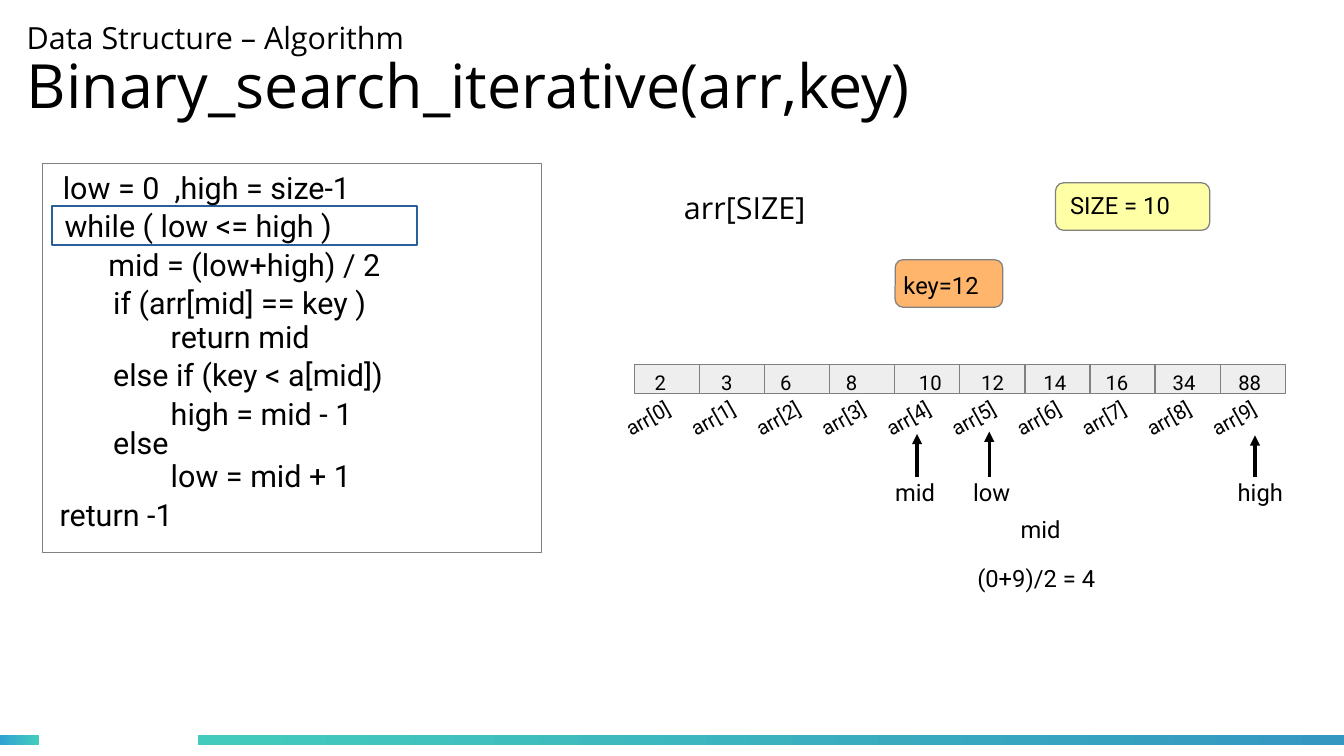
from lxml import etree
from pptx import Presentation
from pptx.dml.color import RGBColor
from pptx.enum import shapes, text
from pptx.oxml import ns
from pptx.util import Pt

COLORS = {
    "ink": "000000", "white": "FFFFFF", "border": "808080", "highlight": "2A6099",
    "size": "FFFFA6", "key": "FFB66C", "cell": "EEEEEE",
    "teal": "43CCBD", "sky": "30A2D2", "ocean": "3497C1",
}
SLIDE_SIZE = (793.44, 446.4)
TITLE_FRAME = {
    "margin_left": 0, "margin_top": 0, "margin_right": 0, "margin_bottom": 0,
    "word_wrap": True, "auto_size": text.MSO_AUTO_SIZE.NONE,
    "vertical_anchor": text.MSO_ANCHOR.MIDDLE,
}
LABEL_FRAME = {
    "margin_left": Pt(7.2), "margin_top": Pt(3.6), "margin_right": 0,
    "margin_bottom": Pt(3.6), "word_wrap": True,
    "vertical_anchor": text.MSO_ANCHOR.TOP,
}
CODE = [
    (4.8, 0, "low = 0  ,high = size-1"),
    (5.8, 22.5, "while ( low <= high )"),
    (31.7, 45.5, "mid = (low+high) / 2"),
    (34.5, 67.8, "if (arr[mid] == key )"),
    (68.5, 88, "return mid"),
    (34.5, 110.3, "else if (key < a[mid])"),
    (68.5, 133.3, "high = mid - 1"),
    (34.5, 150.6, "else"),
    (68.5, 170, "low = mid + 1"),
    (2.9, 193, "return -1"),
]
CELLS = [(2, 5), (3, 5.8), (6, 2.2), (8, 2.6), (10, 7.2),
         (12, 5.5), (14, 3.8), (16, 2), (34, 3.2), (88, 3.5)]
POINTERS = [("mid", 146.9, 167, 41), ("low", 193, 209.6, 39.6),
            ("high", 349.2, 366.5, 41.8)]


def color(name):
    """Return the named colour."""
    return RGBColor.from_string(COLORS[name])


def apply(target, values):
    """Set each format value on the target."""
    for attribute, value in values.items():
        setattr(target, attribute, value)


def set_font(font, size, family):
    """Format a font in the ink colour."""
    apply(font, {"size": Pt(size), "name": family})
    font.color.rgb = color("ink")


def add_block(slide, box, fill, border="border", kind=shapes.MSO_SHAPE.RECTANGLE):
    """Draw a filled block with a hairline border."""
    block = slide.shapes.add_shape(kind, *map(Pt, box))
    block.shadow.inherit = False
    block.fill.solid()
    block.fill.fore_color.rgb = color(fill)
    block.line.color.rgb = color(border)
    block.line.width = Pt(0)


def add_label(slide, box, wording, size=14, family="Roboto", rotation=0):
    """Place a line of text in the box."""
    label = slide.shapes.add_textbox(*map(Pt, box))
    label.rotation = rotation
    apply(label.text_frame, LABEL_FRAME)
    line = label.text_frame.paragraphs[0]
    line.text = wording
    set_font(line.font, size, family)


def add_arrow(slide, x, start, tip):
    """Draw an upward arrow from start to tip."""
    arrow = slide.shapes.add_connector(
        shapes.MSO_CONNECTOR.STRAIGHT, Pt(x), Pt(start), Pt(x), Pt(tip))
    arrow.line.color.rgb = color("ink")
    arrow.line.width = Pt(0)
    outline = arrow.line._get_or_add_ln()
    etree.SubElement(outline, ns.qn("a:tailEnd"), type="triangle")
    etree.SubElement(arrow._element.spPr, ns.qn("a:effectLst"))


def add_footer(slide, box):
    """Draw the two gradient bars along the bottom."""
    left, top, width, height = box
    gap_start, gap_end = left + 23, left + 117
    for start, end, stops in [(left, gap_start, ("sky", "teal")),
                              (gap_end, left + width, ("teal", "ocean"))]:
        bar = slide.shapes.add_shape(
            shapes.MSO_SHAPE.RECTANGLE, Pt(start), Pt(top), Pt(end - start), Pt(height))
        bar.shadow.inherit = False
        bar.line.fill.background()
        bar.fill.gradient()
        bar.fill.gradient_angle = 0
        for stop, name in zip(bar.fill.gradient_stops, stops):
            stop.color.rgb = color(name)


def add_heading(slide, box):
    """Fill the title with its topic and function name."""
    heading = slide.shapes.title
    apply(heading, dict(zip(("left", "top", "width", "height"), map(Pt, box))))
    apply(heading.text_frame, TITLE_FRAME)
    lines = heading.text_frame.paragraphs[0]
    apply(lines, {"alignment": text.PP_ALIGN.LEFT, "line_spacing": 0.9})
    for wording, size in [("Data Structure – Algorithm", 18),
                          ("Binary_search_iterative(arr,key)", 36)]:
        if lines.runs:
            lines.add_line_break()
        run = lines.add_run()
        run.text = wording
        set_font(run.font, size, "Open Sans")


def add_code(slide, box):
    """Show the pseudocode with the loop condition framed."""
    left, top, width, height = box
    add_block(slide, box, "white")
    add_block(slide, (left + 5.5, top + 25.2, 215.5, 23), "white", "highlight")
    for indent, drop, wording in CODE:
        add_label(slide, (left + indent, top + drop, 220, 31.7), wording, 18)


def add_variables(slide, box):
    """Show the array declaration, its size and the key."""
    left, top, width, height = box
    rounded = shapes.MSO_SHAPE.ROUNDED_RECTANGLE
    add_label(slide, (left, top, 110, 31.7), "arr[SIZE]", 18, "Open Sans")
    add_block(slide, (left + width - 91, top, 91, 28), "size", kind=rounded)
    add_label(slide, (left + width - 89.5, top + 1.4, 86, 26), "SIZE = 10")
    add_block(slide, (left + 131.8, top + 45.4, 63.5, 28), "key", kind=rounded)
    add_label(slide, (left + 129.6, top + 48.2, 69, 26), "key=12")


def add_array(slide, box):
    """Draw the array cells, indices, pointers and midpoint."""
    left, top, width, height = box
    pitch = width / len(CELLS)
    for index, (value, indent) in enumerate(CELLS):
        x = left + index * pitch
        add_block(slide, (x, top, pitch, height), "cell")
        add_label(slide, (x + indent, top, 35, 24), str(value), 12)
        add_label(slide, (x - 13, top + 18.6, 50.4, 24), f"arr[{index}]", 12,
                  rotation=330.4)
    for name, indent, arrow, tip in POINTERS:
        add_arrow(slide, left + arrow, top + 66.3, top + tip)
        add_label(slide, (left + indent, top + 63.4, 48, 26), name)
    add_label(slide, (left + 221, top + 85, 48, 28), "mid")
    add_label(slide, (left + 195.5, top + 113.8, 100, 28), "(0+9)/2 = 4")


def main():
    """Build and save the slide."""
    deck = Presentation()
    deck.slide_width, deck.slide_height = map(Pt, SLIDE_SIZE)
    slide = deck.slides.add_slide(deck.slide_layouts[5])
    add_footer(slide, (0, 434.2, SLIDE_SIZE[0], 5.8))
    add_heading(slide, (15.8, -9.4, 749.5, 104.4))
    add_code(slide, (25.2, 96.5, 294.5, 229.7))
    add_variables(slide, (396.7, 108, 317.5, 73.4))
    add_array(slide, (374.4, 215.3, 384.5, 17.3))
    deck.save("out.pptx")


if __name__ == "__main__":
    main()
